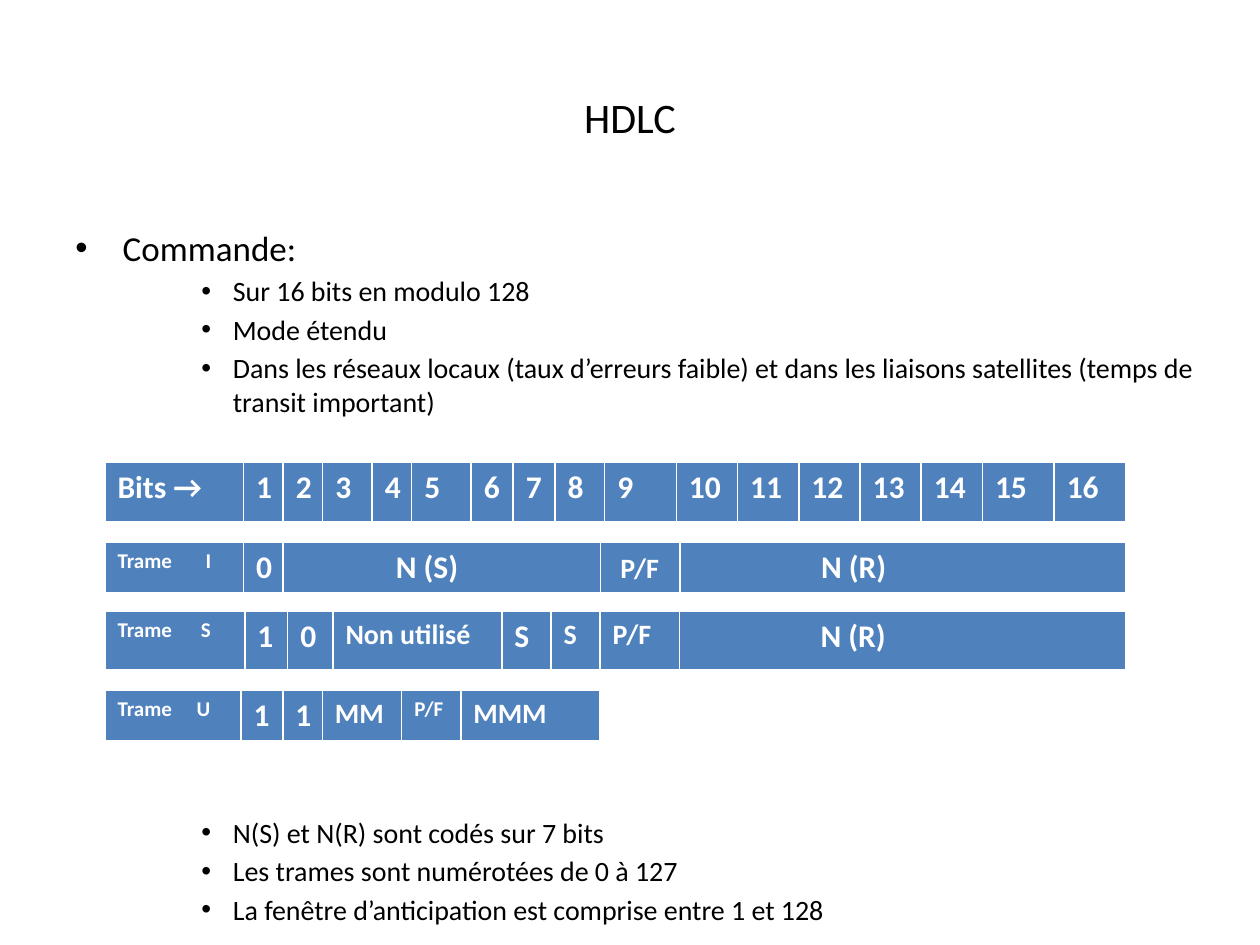
from dataclasses import dataclass

from lxml import etree
from pptx import Presentation
from pptx.dml.color import RGBColor
from pptx.enum.text import MSO_ANCHOR, PP_ALIGN
from pptx.oxml.ns import qn
from pptx.util import Pt

BLACK = RGBColor(0x00, 0x00, 0x00)
WHITE = RGBColor(0xFF, 0xFF, 0xFF)
BLUE = RGBColor(0x4F, 0x81, 0xBD)
CENTER, LEFT = PP_ALIGN.CENTER, PP_ALIGN.LEFT
MIDDLE = MSO_ANCHOR.MIDDLE
TITLE_ONLY = 5
FONT = "Calibri"
TABLE_LEFT = 60


@dataclass(frozen=True)
class Bullet:
    text: str
    size: float = 16
    margin: float = 90
    hanging: float = 18
    before: float = 2.9


@dataclass(frozen=True)
class Field:
    text: str
    width: float
    size: float = 18
    left: float = 7.2
    top: float = 3.6
    tab: float = 0


@dataclass(frozen=True)
class Frame:
    top: float
    height: float
    fields: tuple[Field, ...]


BULLETS = (
    Bullet("Commande:", 20, 27, 27, 0),
    Bullet("Sur 16 bits en modulo 128"),
    Bullet("Mode étendu"),
    Bullet("Dans les réseaux locaux (taux d’erreurs faible) et dans les "
           "liaisons satellites (temps de transit important)"),
    Bullet("N(S) et N(R) sont codés sur 7 bits", before=226.8),
    Bullet("Les trames sont numérotées de 0 à 127"),
    Bullet("La fenêtre d’anticipation est comprise entre 1 et 128"),
)

BIT_WIDTHS = (22.6, 22.6, 28.3, 22.6, 34, 24, 24, 28.3, 41,
              35, 35, 35, 35, 35, 41, 41)
RECEIVE_NUMBER = Field("N (R)", 255, left=80.6)

FRAMES = (
    Frame(264.2, 33.8, (
        Field("Bits →", 79.2),
        *(Field(str(bit), width) for bit, width in enumerate(BIT_WIDTHS, 1)),
    )),
    Frame(309.6, 28.8, (
        Field("Trame\tI", 79.2, 12, tab=50.3),
        Field("0", 22.6),
        Field("N (S)", 181.4, left=64.4),
        Field("P/F", 45.4, 16, left=11.3, top=5.5),
        RECEIVE_NUMBER,
    )),
    Frame(349.2, 33.8, (
        Field("Trame\tS", 79.9, 12, tab=47.5),
        Field("1", 24.5),
        Field("0", 25.9),
        Field("Non utilisé", 96.5, 16),
        Field("S", 28.1),
        Field("S", 28.1, 16),
        Field("P/F", 45.4, 16),
        RECEIVE_NUMBER,
    )),
    Frame(394.6, 28.8, (
        Field("Trame\tU", 77.8, 12, tab=45.1),
        Field("1", 23.8),
        Field("1", 22.6),
        Field("MM", 45.4, 16),
        Field("P/F", 33.8, 12),
        Field("MMM", 79.2, 16),
    )),
)


def write_text(paragraph, text: str, *, size: float, color: RGBColor = BLACK,
               bold: bool = False, align=LEFT, before: float = 0) -> None:
    paragraph.alignment = align
    paragraph.space_before = Pt(before)
    run = paragraph.add_run()
    run.text = text
    run.font.name = FONT
    run.font.size = Pt(size)
    run.font.bold = bold
    run.font.color.rgb = color


def add_bullets(slide, bullets: tuple[Bullet, ...]) -> None:
    box = slide.shapes.add_textbox(Pt(36), Pt(126), Pt(658.8), Pt(388))
    text_frame = box.text_frame
    text_frame.word_wrap = True
    for index, bullet in enumerate(bullets):
        paragraph = text_frame.add_paragraph() if index else text_frame.paragraphs[0]
        write_text(paragraph, bullet.text, size=bullet.size, before=bullet.before)
        properties = paragraph._p.get_or_add_pPr()
        properties.set("marL", str(Pt(bullet.margin)))
        properties.set("indent", str(-Pt(bullet.hanging)))
        etree.SubElement(properties, qn("a:buFont"), typeface="Arial")
        etree.SubElement(properties, qn("a:buChar"), char="•")


def add_frame(slide, frame: Frame) -> None:
    total = sum(field.width for field in frame.fields)
    table = slide.shapes.add_table(1, len(frame.fields), Pt(TABLE_LEFT), Pt(frame.top),
                                   Pt(total), Pt(frame.height)).table
    for column, cell, field in zip(table.columns, table.rows[0].cells, frame.fields):
        column.width = Pt(field.width)
        cell.fill.solid()
        cell.fill.fore_color.rgb = BLUE
        cell.margin_left = Pt(field.left)
        cell.margin_top = Pt(field.top)
        paragraph = cell.text_frame.paragraphs[0]
        write_text(paragraph, field.text, size=field.size, color=WHITE, bold=True)
        if field.tab:
            tabs = etree.SubElement(paragraph._p.get_or_add_pPr(), qn("a:tabLst"))
            etree.SubElement(tabs, qn("a:tab"), pos=str(Pt(field.tab)), algn="l")


def main() -> None:
    presentation = Presentation()
    presentation.slide_width, presentation.slide_height = Pt(720), Pt(540)
    slide = presentation.slides.add_slide(presentation.slide_layouts[TITLE_ONLY])
    title = slide.shapes.title
    title.left, title.top, title.width, title.height = Pt(36), Pt(21.6), Pt(648), Pt(90)
    title.text_frame.vertical_anchor = MIDDLE
    write_text(title.text_frame.paragraphs[0], "HDLC", size=24, align=CENTER)
    add_bullets(slide, BULLETS)
    for frame in FRAMES:
        add_frame(slide, frame)
    presentation.save("out.pptx")


if __name__ == "__main__":
    main()
